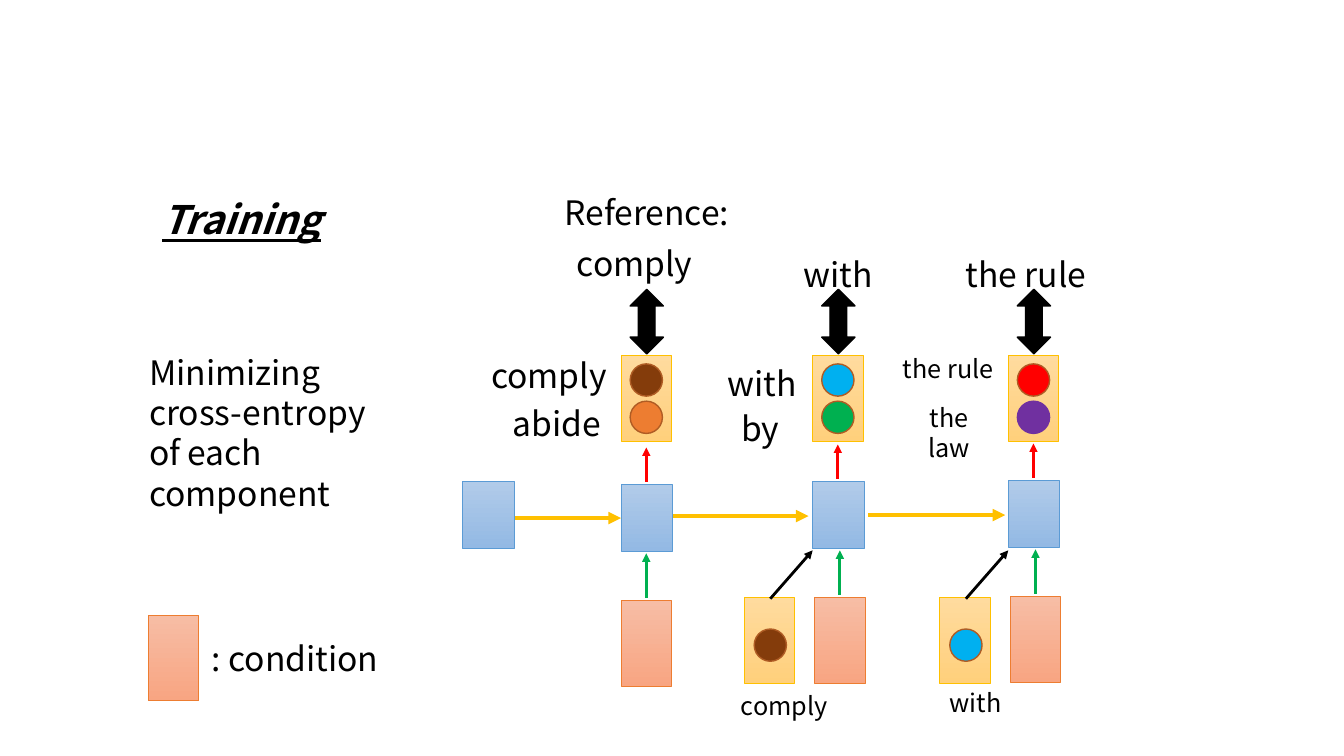
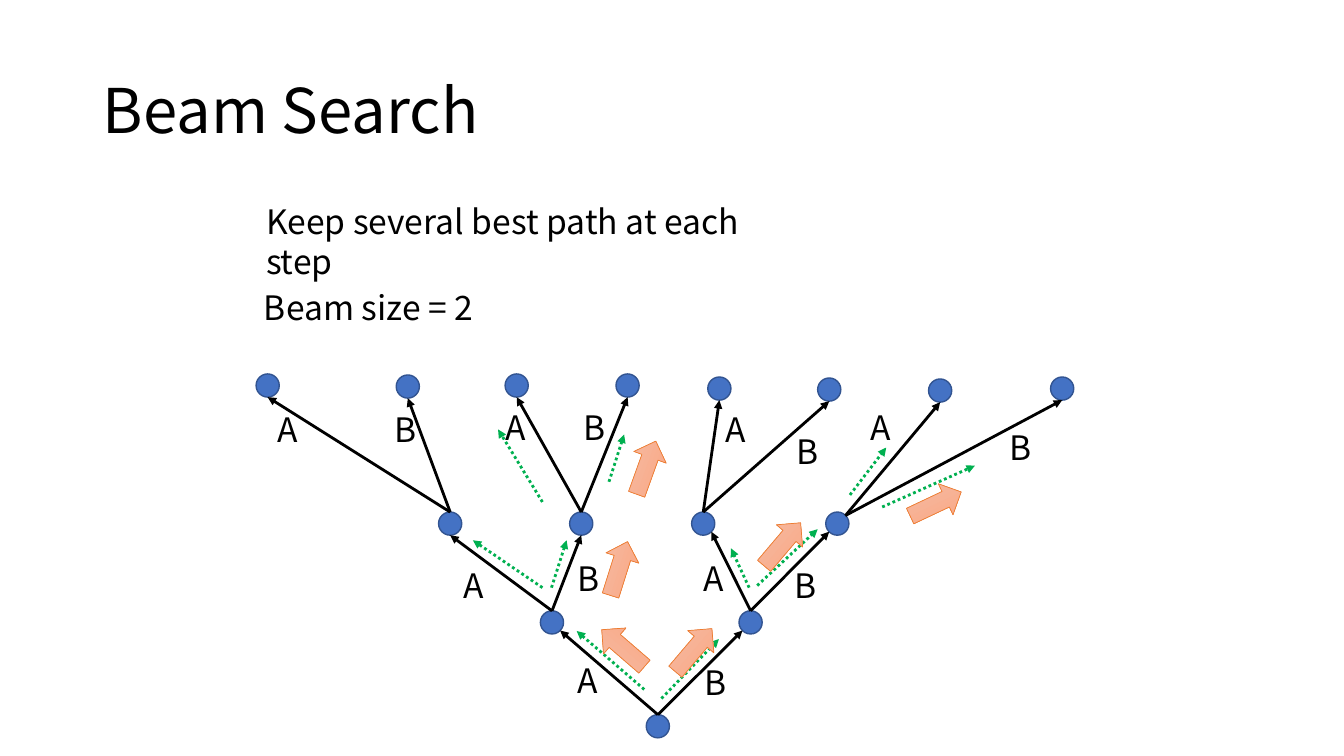
from lxml.etree import SubElement
from pptx import Presentation
from pptx.dml.color import RGBColor
from pptx.enum.dml import MSO_LINE as Dash
from pptx.enum.shapes import MSO_CONNECTOR as Connector, MSO_SHAPE as Shape
from pptx.enum.text import MSO_ANCHOR as Anchor, PP_ALIGN as Align
from pptx.oxml.ns import qn
from pptx.util import Emu, Pt

PX = 9144  # 100 px to the inch
FONT = "Noto Sans CJK SC"
LINE_HEIGHT = 1.2
COLORS = {
    "black": "000000", "red": "FF0000", "green": "00B050", "gold": "FFC000",
    "brown": "843C0B", "orange": "ED7D31", "sky": "00B0F0", "purple": "7030A0",
    "rim": "AF5C24", "node": "4472C4", "node_rim": "325491",
}
# Gradient top, gradient bottom, outline
GRADIENTS = {
    "state": ("B1CBE9", "93B9E4", "5B9BD5"),
    "condition": ("F7BDA5", "F8A582", "ED7D31"),
    "token": ("FFDB9E", "FFD07C", "FFC000"),
}
CELL, CARD, DOT = (51, 66), (50, 85), (32, 32)

# ---- Slide 1 content: text, left, top, width, height, format ----
CENTER = {"align": Align.CENTER}
SMALL = {"size": 18}
TRAINING_TEXTS = [
    ("Training", 151, 189, 862, 60,
     {"size": 28, "bold": True, "italic": True, "underline": True}),
    ("Reference:", 550, 185, 200, 50, {}),
    ("comply", 553, 236, 153, 50, CENTER),
    ("with", 769, 247, 125, 50, CENTER),
    ("the rule", 946, 247, 143, 50, CENTER),
    ("comply", 473, 347, 143, 50, CENTER),
    ("abide", 489, 395, 127, 50, CENTER),
    ("with", 712, 355, 95, 50, {}),
    ("by", 723, 400, 62, 50, CENTER),
    ("the rule", 881, 346, 119, 40, CENTER | SMALL),
    ("the law", 892, 394, 99, 40, CENTER | SMALL),
    ("Minimizing cross-entropy of each component", 138, 344, 253, 172, {}),
    (": condition", 200, 628, 206, 50, {}),
    ("comply", 725, 680, 114, 40, SMALL),
    ("with", 932, 677, 92, 40, SMALL),
]
# Left, vertical shift, condition left, candidate dots, dot of the fed-back word
STEPS = [
    (616, 3, 616, ("brown", "orange"), None),
    (806, 0, 808, ("sky", "green"), "brown"),
    (1000, -1, 1002, ("red", "purple"), "sky"),
]
START_CELL = (459, 478)
LEGEND_CARD = (147, 610)
RECURRENT = [(511, 616, 514), (667, 802, 512), (861, 997, 511)]

# ---- Slide 2 content ----
BEAM_TEXTS = [
    ("Beam Search", 92, 35, 1150, 145, {"size": 44, "anchor": Anchor.MIDDLE}),
    ("Keep several best path at each step", 254, 194, 518, 91, {}),
    ("Beam size = 2", 252, 280, 504, 50, {}),
]
NODE = 23
# Each node is named by the choices that lead to it
NODES = {
    "": (641, 709), "A": (536, 606), "B": (733, 606),
    "AA": (435, 508), "AB": (565, 508), "BA": (686, 508), "BB": (819, 508),
    "AAA": (254, 371), "AAB": (393, 372), "ABA": (501, 371), "ABB": (611, 371),
    "BAA": (702, 374), "BAB": (811, 375), "BBA": (921, 376), "BBB": (1042, 374),
}
# Left and top of the letter beside the branch into each node
LETTERS = {
    "A": (554, 650), "B": (681, 652),
    "AA": (441, 556), "AB": (555, 549), "BA": (679, 549), "BB": (770, 556),
    "AAA": (256, 401), "AAB": (373, 401), "ABA": (482, 399), "ABB": (561, 399),
    "BAA": (701, 401), "BAB": (772, 423), "BBA": (845, 399), "BBB": (983, 419),
}
TOP, BOTTOM = (0.5, 0), (0.5, 1)
LOWER_LEFT, LOWER_RIGHT, UPPER_RIGHT = (0.15, 0.85), (0.85, 0.85), (0.85, 0.15)
LEAVES_AT = {"BB": UPPER_RIGHT}
ARRIVES_AT = {"A": LOWER_RIGHT, "B": LOWER_LEFT,
              "BA": LOWER_RIGHT, "BB": LOWER_LEFT}
EXPLORED = [
    (656, 693, 713, 634), (639, 684, 572, 626), (538, 583, 469, 536),
    (547, 583, 562, 536), (743, 583, 725, 544), (751, 581, 811, 525),
    (538, 498, 494, 426), (875, 503, 967, 462), (843, 491, 879, 444),
    (604, 478, 619, 431),
]
# Left, top, rotation
KEPT = [
    (590, 626, 220.8), (660, 628, 310.3), (748, 523, 310.3),
    (586, 547, 287.5), (900, 483, 334.7), (613, 447, 289.8),
]
KEPT_SIZE = (56, 34)


def px(*lengths):
    return [Emu(round(length * PX)) for length in lengths]


def rgb(name):
    return RGBColor.from_string(COLORS.get(name, name))


def add_text(slide, text, left, top, width, height, style):
    box = slide.shapes.add_textbox(*px(left, top, width, height))
    frame = box.text_frame
    frame.word_wrap = True
    frame.vertical_anchor = style.get("anchor", Anchor.TOP)
    paragraph = frame.paragraphs[0]
    paragraph.alignment = style.get("align", Align.LEFT)
    size = style.get("size", 24)
    paragraph.line_spacing = Pt(size * LINE_HEIGHT)
    run = paragraph.add_run()
    run.text = text
    run.font.color.rgb = rgb("black")
    formats = {"name": FONT, "size": Pt(size)}
    formats |= {key: style[key] for key in ("bold", "italic", "underline")
                if key in style}
    for key, value in formats.items():
        setattr(run.font, key, value)


def add_preset(slide, preset, corner, size, line, weight):
    shape = slide.shapes.add_shape(preset, *px(*corner, *size))
    shape.shadow.inherit = False
    shape.line.color.rgb = rgb(line)
    shape.line.width = Pt(weight)
    return shape


def add_solid(slide, preset, corner, size, fill, line):
    shape = add_preset(slide, preset, corner, size, line, 1)
    shape.fill.solid()
    shape.fill.fore_color.rgb = rgb(fill)


def add_gradient(slide, kind, corner, size=CARD, preset=Shape.RECTANGLE, rotation=0):
    *shades, outline = GRADIENTS[kind]
    shape = add_preset(slide, preset, corner, size, outline, 0.5)
    shape.rotation = rotation
    shape.fill.gradient()
    shape.fill.gradient_angle = 270
    for stop, position, shade in zip(shape.fill.gradient_stops, (0, 1), shades):
        stop.position = position
        stop.color.rgb = rgb(shade)


def add_dot(slide, color, left, top):
    rim = "purple" if color == "purple" else "rim"
    add_solid(slide, Shape.OVAL, (left, top), DOT, color, rim)


def add_arrow(slide, x1, y1, x2, y2, color="black", weight=2, dash=None):
    arrow = slide.shapes.add_connector(Connector.STRAIGHT, *px(x1, y1, x2, y2))
    arrow.line.color.rgb = rgb(color)
    arrow.line.width = Pt(weight)
    if dash:
        arrow.line.dash_style = dash
    properties = arrow.line._get_or_add_ln()
    SubElement(properties, qn("a:tailEnd"), type="triangle")
    SubElement(properties.getparent(), qn("a:effectLst"))


def build_training(slide):
    for entry in TRAINING_TEXTS:
        add_text(slide, *entry)
    add_gradient(slide, "state", START_CELL, CELL)
    add_gradient(slide, "condition", LEGEND_CARD)
    for x1, x2, y in RECURRENT:
        add_arrow(slide, x1, y, x2, y, "gold", 3)

    for left, shift, condition_left, candidates, fed_back in STEPS:
        # State, its condition below and its prediction above
        add_gradient(slide, "state", (left, 478 + shift), CELL)
        add_gradient(slide, "condition", (condition_left, 593 + shift))
        add_gradient(slide, "token", (left, 353))
        for row, color in enumerate(candidates):
            add_dot(slide, color, left + 9, 361 + 37 * row)
        green_x, red_x = condition_left + 25, left + 25
        add_arrow(slide, green_x, 590 + shift, green_x, 546 + shift, "green")
        add_arrow(slide, red_x, 475 + shift, red_x, 441 + shift, "red")
        # Comparison with the reference word
        add_solid(slide, Shape.UP_DOWN_ARROW, (left + 9, 287), (33, 64),
                  "black", "black")
        # Previous word fed back in
        if fed_back:
            add_gradient(slide, "token", (left - 68, 593))
            add_dot(slide, fed_back, left - 58, 624)
            add_arrow(slide, left - 42, 594, left, 546)


def node_point(name, site):
    return [corner + NODE * part for corner, part in zip(NODES[name], site)]


def build_beam(slide):
    for entry in BEAM_TEXTS:
        add_text(slide, *entry)
    for corner in NODES.values():
        add_solid(slide, Shape.OVAL, corner, (NODE, NODE), "node", "node_rim")
    # Branches and their letters
    for name, corner in LETTERS.items():
        parent = name[:-1]
        add_arrow(slide, *node_point(parent, LEAVES_AT.get(parent, TOP)),
                  *node_point(name, ARRIVES_AT.get(name, BOTTOM)))
        add_text(slide, name[-1], *corner, 58, 50, CENTER)
    # Explored branches, then the ones kept
    for ends in EXPLORED:
        add_arrow(slide, *ends, "green", dash=Dash.ROUND_DOT)
    for left, top, rotation in KEPT:
        add_gradient(slide, "condition", (left, top), KEPT_SIZE,
                     Shape.RIGHT_ARROW, rotation)


def main():
    deck = Presentation()
    deck.slide_width, deck.slide_height = px(1333, 750)
    blank = deck.slide_layouts[6]
    for build in (build_training, build_beam):
        build(deck.slides.add_slide(blank))
    deck.save("out.pptx")


if __name__ == "__main__":
    main()
